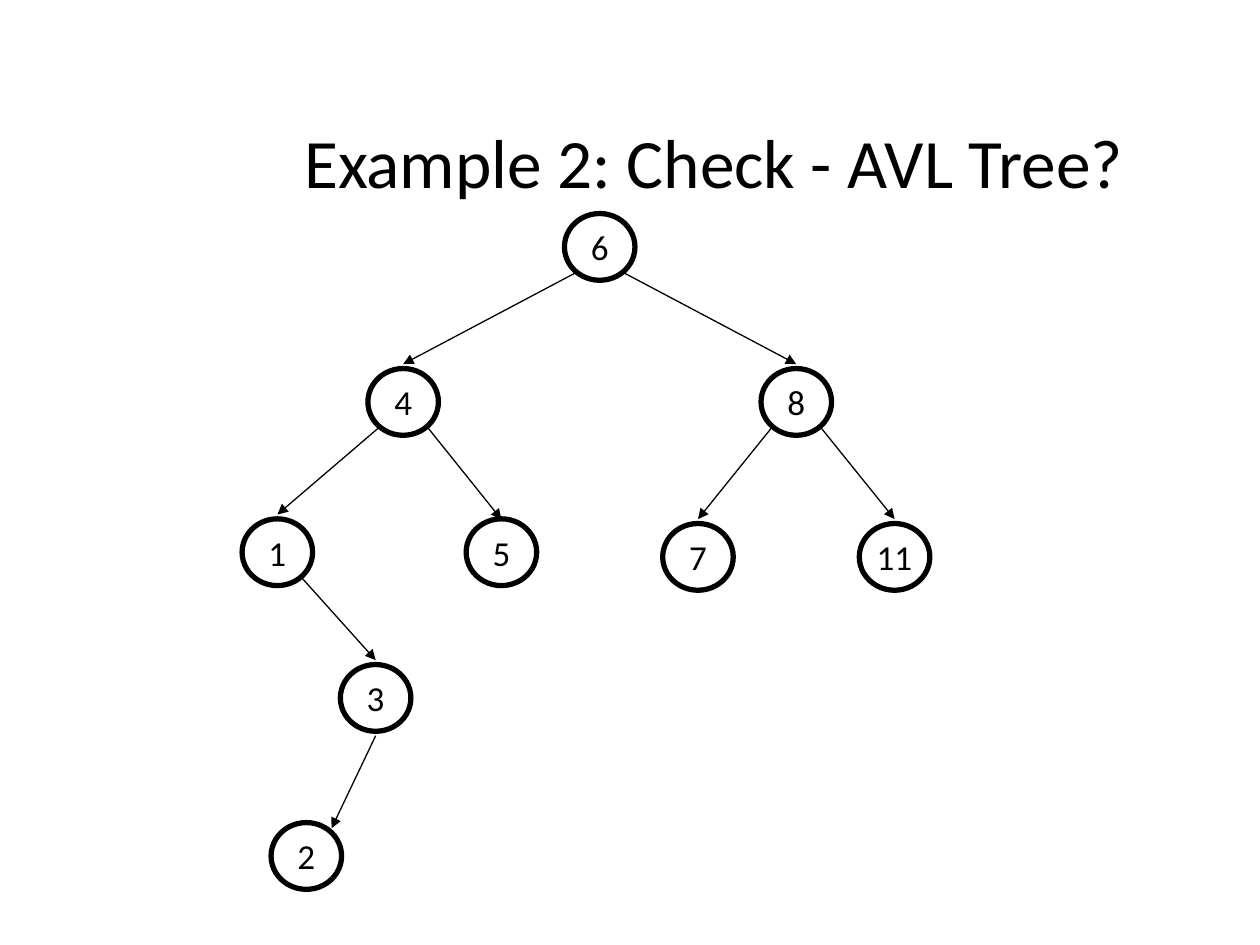
from dataclasses import dataclass

from pptx import Presentation
from pptx import util as u
from pptx.dml.color import RGBColor
from pptx.enum import shapes, text
from pptx.oxml.ns import qn

WIDTH, HEIGHT = 10, 7.5
ROOT_X, ROOT_Y = 4.76, 1.96
COLUMN, ROW = 0.39, 1.23
NODE_WIDTH, NODE_HEIGHT = 0.56, 0.53
INK = "000000"
FONT = "Calibri"

LOWER_LEFT, LOWER_RIGHT = (-0.2, 0.21), (0.2, 0.21)
ABOVE, BELOW = (0, -0.3), (0, 0.3)
TOP, UPPER_RIGHT = (0, -0.26), (0.2, -0.22)


@dataclass(frozen=True)
class Node:
    """A tree key placed in columns and rows from the root."""
    key: int
    column: float
    row: float

    @property
    def center(self) -> tuple[float, float]:
        """Return the centre of the node in inches."""
        return ROOT_X + self.column * COLUMN, ROOT_Y + self.row * ROW


@dataclass(frozen=True)
class Edge:
    """An arrow between two keys, with its offset from each centre."""
    parent: int
    child: int
    start: tuple[float, float]
    end: tuple[float, float] = ABOVE


NODES = {node.key: node for node in (
    Node(6, 0, 0),
    Node(4, -4, 1), Node(8, 4, 1),
    Node(1, -6.56, 1.97), Node(5, -2, 1.97), Node(7, 2, 2), Node(11, 6, 2),
    Node(3, -4.56, 2.91),
    Node(2, -5.97, 3.93),
)}

EDGES = (
    Edge(6, 4, LOWER_LEFT), Edge(6, 8, LOWER_RIGHT),
    Edge(4, 1, LOWER_LEFT), Edge(4, 5, LOWER_RIGHT, TOP),
    Edge(8, 7, LOWER_LEFT), Edge(8, 11, LOWER_RIGHT),
    Edge(1, 3, LOWER_RIGHT), Edge(3, 2, BELOW, UPPER_RIGHT),
)


def color(value: str) -> RGBColor:
    """Turn a hex string into a colour."""
    return RGBColor.from_string(value)


def write(frame, words: str, size: float) -> None:
    """Fill a text frame with one centred, middle-anchored line."""
    frame.text = words
    frame.vertical_anchor = text.MSO_ANCHOR.MIDDLE
    para = frame.paragraphs[0]
    para.alignment = text.PP_ALIGN.CENTER
    font = para.runs[0].font
    font.name, font.size = FONT, u.Pt(size)
    font.color.rgb = color(INK)


def draw_title(page, words: str) -> None:
    """Place the title, centred to the right of a wide left inset."""
    title = page.shapes.title
    title.left, title.top = u.Inches(0.54), u.Inches(0.65)
    title.width, title.height = u.Inches(0.9 * WIDTH), u.Inches(HEIGHT / 6)
    write(title.text_frame, words, 39.6)
    title.text_frame.margin_left = u.Inches(1.35)


def draw_node(tree, node: Node) -> None:
    """Draw one ringed key."""
    x, y = node.center
    ring = tree.shapes.add_shape(
        shapes.MSO_SHAPE.OVAL,
        u.Inches(x - NODE_WIDTH / 2), u.Inches(y - NODE_HEIGHT / 2),
        u.Inches(NODE_WIDTH), u.Inches(NODE_HEIGHT))
    ring.shadow.inherit = False
    ring.fill.background()
    ring.line.color.rgb = color(INK)
    ring.line.width = u.Pt(3)
    write(ring.text_frame, str(node.key), 20)
    ring.text_frame.word_wrap = False


def draw_edge(tree, edge: Edge) -> None:
    """Draw an arrow from a parent to its child."""
    points = [center + shift
              for key, offset in ((edge.parent, edge.start), (edge.child, edge.end))
              for center, shift in zip(NODES[key].center, offset)]
    arrow = tree.shapes.add_connector(
        shapes.MSO_CONNECTOR.STRAIGHT, *map(u.Inches, points))
    arrow.line.color.rgb = color(INK)
    arrow.line.width = u.Pt(0.75)
    line = arrow.line._get_or_add_ln()
    line.append(line.makeelement(qn("a:tailEnd"), {"type": "triangle"}))
    properties = arrow._element.spPr
    properties.append(properties.makeelement(qn("a:effectLst"), {}))


def main() -> None:
    """Build and save the deck."""
    deck = Presentation()
    deck.slide_width, deck.slide_height = u.Inches(WIDTH), u.Inches(HEIGHT)
    page = deck.slides.add_slide(deck.slide_layouts[5])
    draw_title(page, "Example 2: Check - AVL Tree?")
    tree = page.shapes.add_group_shape()
    for node in NODES.values():
        draw_node(tree, node)
    for edge in EDGES:
        draw_edge(tree, edge)
    deck.save("out.pptx")


if __name__ == "__main__":
    main()
